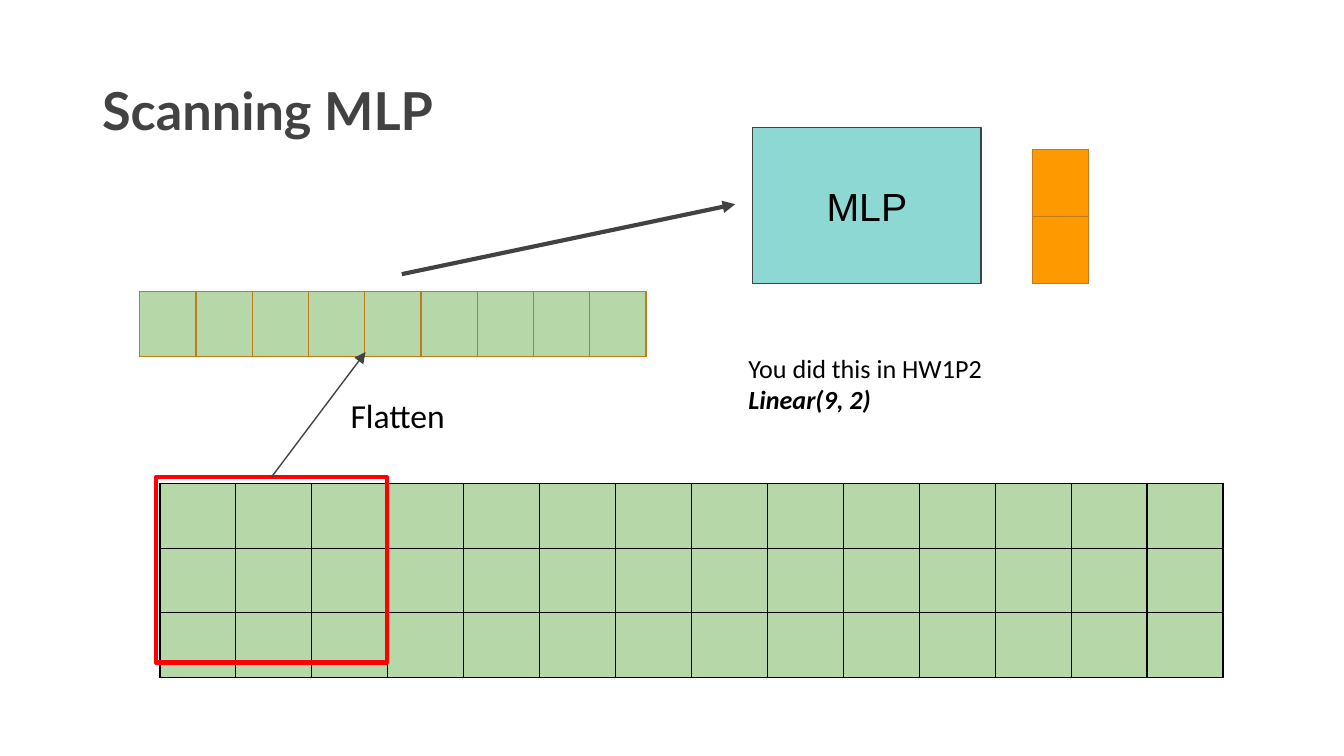
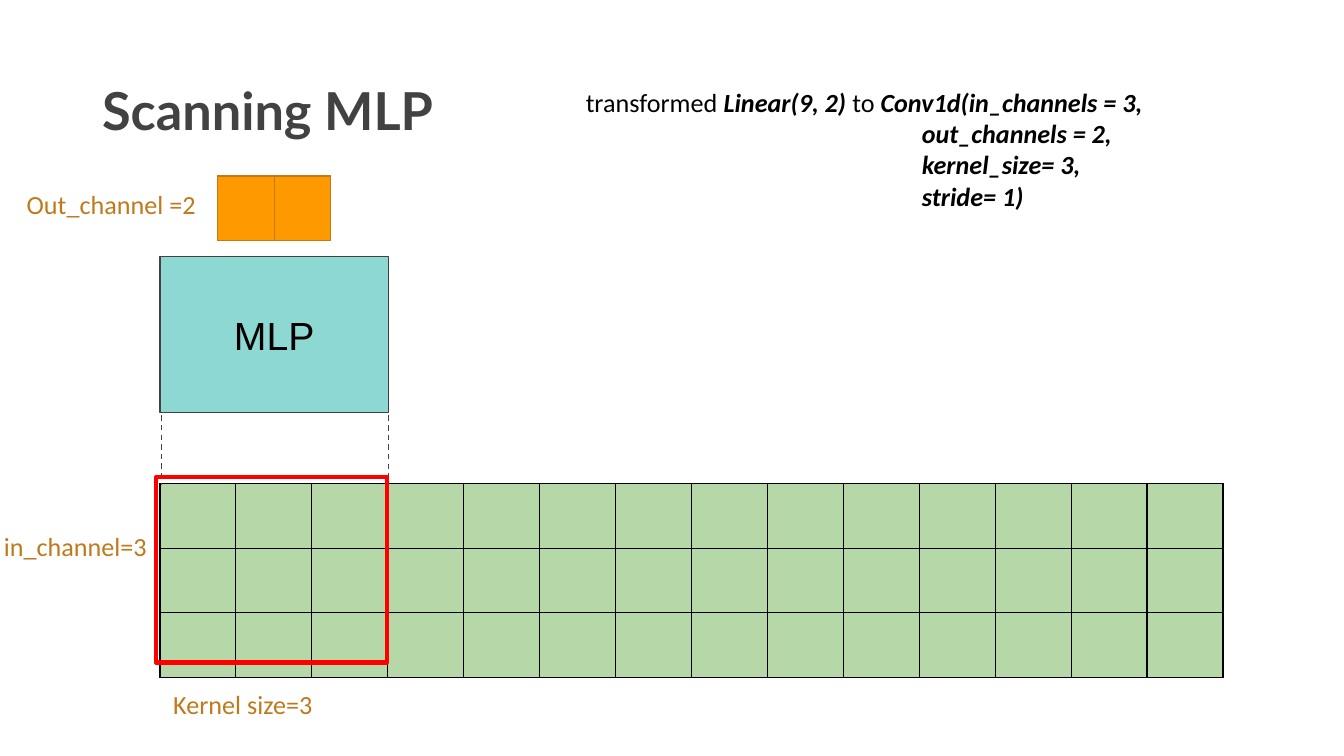
"""Build two slides that turn a scanning MLP into a 1D convolution."""
import pptx
import pptx.dml.color
import pptx.enum.dml
import pptx.enum.shapes
import pptx.enum.text
import pptx.oxml
import pptx.oxml.ns
import pptx.util

Inches = pptx.util.Inches
Pt = pptx.util.Pt

COLORS = {"ink": "424242", "black": "000000", "green": "B6D7A8", "teal": "8DD8D3",
          "orange": "FF9900", "brown": "C0791B", "red": "FF0000"}
TITLE = "Scanning MLP"
TITLE_FORMAT = {"name": "Lato", "size": Pt(28), "bold": True}
BLOCK_FORMAT = {"name": "Arial", "size": Pt(21)}
NOTE_FORMAT = {"name": "Calibri", "size": Pt(14)}
FLATTEN_FORMAT = {"name": "Calibri", "size": Pt(18)}
STRONG = {"bold": True, "italic": True}

INPUT = {"place": (1.19, 3.6, 7.91, 1.44), "rows": 3, "columns": 14,
         "fill": "green", "border": "black"}
FLAT = {"place": (1.04, 2.17, 3.77, 0.48), "rows": 1, "columns": 9,
        "fill": "green", "border": "brown"}
OUTPUT_COLUMN = {"place": (7.68, 1.11, 0.42, 1), "rows": 2, "columns": 1,
                 "fill": "orange", "border": "brown"}
OUTPUT_ROW = {"place": (1.62, 1.31, 0.84, 0.48), "rows": 1, "columns": 2,
              "fill": "orange", "border": "brown"}
WINDOW = (1.16, 3.55, 1.72, 1.38)
BLOCK_SIZE = (1.7, 1.16)

HOMEWORK = [(0, [("You did this in HW1P2", {})]), (0, [("Linear(9, 2)", STRONG)])]
CONVOLUTION = [
    (0, [("transformed ", {}), ("Linear(9, 2)", STRONG), (" to ", {}),
         ("Conv1d(in_channels = 3,", STRONG)]),
    (2.5, [("out_channels = 2, kernel_size= 3,", STRONG)]),
    (2.5, [("stride= 1)", STRONG)]),
]
LABELS = [
    ("Out_channel =2", (0.1, 1.3, 3.28, 0.44)),
    ("Kernel size=3", (1.19, 5.02, 3.28, 0.44)),
    ("in_channel=3", (-0.07, 3.85, 3.48, 0.44)),
]
DASHES = [(1.2, 3.09, 1.2, 3.61), (2.89, 3.02, 2.89, 3.55)]


def rgb(color):
    return pptx.dml.color.RGBColor.from_string(COLORS[color])


def style(font, color, values):
    for name, value in values.items():
        setattr(font, name, value)
    font.color.rgb = rgb(color)


def set_frame(frame, across, down):
    values = {"word_wrap": True, "margin_left": across, "margin_right": across,
              "margin_top": down, "margin_bottom": down}
    for name, value in values.items():
        setattr(frame, name, value)


def add_page(deck):
    page = deck.slides.add_slide(deck.slide_layouts[5])
    title = page.shapes.title
    places = zip(("left", "top", "width", "height"), (0.69, 0.3, 8.62, 1.09))
    for name, value in places:
        setattr(title, name, Inches(value))
    frame = title.text_frame
    frame.text = TITLE
    set_frame(frame, Inches(0.07), Inches(0.04))
    frame.auto_size = pptx.enum.text.MSO_AUTO_SIZE.NONE
    frame.vertical_anchor = pptx.enum.text.MSO_ANCHOR.MIDDLE
    para = frame.paragraphs[0]
    para.alignment = pptx.enum.text.PP_ALIGN.LEFT
    para.line_spacing = 0.9
    style(para.runs[0].font, "ink", TITLE_FORMAT)
    return page


def add_grid(page, grid):
    rows, columns = grid["rows"], grid["columns"]
    left, top, width, height = map(Inches, grid["place"])
    table = page.shapes.add_table(rows, columns, left, top, width, height).table
    table.first_row = False
    table.horz_banding = False
    for column in table.columns:
        column.width = width // columns
    for row in table.rows:
        row.height = height // rows
    namespace = pptx.oxml.ns.nsdecls("a")
    for cell in table.iter_cells():
        properties = cell._tc.get_or_add_tcPr()
        for side in "LRTB":
            properties.append(pptx.oxml.parse_xml(
                f'<a:ln{side} {namespace} w="{Pt(0.75)}"><a:solidFill>'
                f'<a:srgbClr val="{COLORS[grid["border"]]}"/></a:solidFill></a:ln{side}>'))
        cell.fill.solid()
        cell.fill.fore_color.rgb = rgb(grid["fill"])


def add_rectangle(page, place, line, width, fill=None):
    box = page.shapes.add_shape(pptx.enum.shapes.MSO_SHAPE.RECTANGLE, *map(Inches, place))
    box.shadow.inherit = False
    box.line.color.rgb = rgb(line)
    box.line.width = Pt(width)
    if fill:
        box.fill.solid()
        box.fill.fore_color.rgb = rgb(fill)
    else:
        box.fill.background()
    return box


def add_window(page):
    return add_rectangle(page, WINDOW, "red", 2.25)


def add_block(page, left, top):
    box = add_rectangle(page, (left, top, *BLOCK_SIZE), "ink", 0.75, "teal")
    frame = box.text_frame
    frame.text = "MLP"
    set_frame(frame, Inches(0.1), Inches(0.1))
    frame.vertical_anchor = pptx.enum.text.MSO_ANCHOR.MIDDLE
    para = frame.paragraphs[0]
    para.alignment = pptx.enum.text.PP_ALIGN.CENTER
    style(para.runs[0].font, "black", BLOCK_FORMAT)


def add_line(page, ends, width, arrow=False):
    line = page.shapes.add_connector(pptx.enum.shapes.MSO_CONNECTOR.STRAIGHT,
                                     *map(Inches, ends))
    line.line.color.rgb = rgb("ink")
    line.line.width = Pt(width)
    if arrow:
        line.line._get_or_add_ln().append(pptx.oxml.parse_xml(
            f'<a:tailEnd {pptx.oxml.ns.nsdecls("a")} type="triangle"/>'))
    else:
        line.line.dash_style = pptx.enum.dml.MSO_LINE.DASH
    line._element.spPr.append(pptx.oxml.parse_xml(
        f'<a:effectLst {pptx.oxml.ns.nsdecls("a")}/>'))
    return line


def add_text(page, place, paragraphs, color="black", values=NOTE_FORMAT):
    frame = page.shapes.add_textbox(*map(Inches, place)).text_frame
    set_frame(frame, Inches(0.1), Inches(0.1))
    for index, (indent, spans) in enumerate(paragraphs):
        para = frame.add_paragraph() if index else frame.paragraphs[0]
        if indent:
            para._p.get_or_add_pPr().set("marL", str(Inches(indent)))
        for text, emphasis in spans:
            span = para.add_run()
            span.text = text
            style(span.font, color, {**values, **emphasis})


def build_flatten(deck):
    page = add_page(deck)
    add_grid(page, INPUT)
    window = add_window(page)
    add_grid(page, FLAT)
    arrow = add_line(page, (2.02, 3.55, 2.72, 2.62), 0.75, arrow=True)
    arrow.begin_connect(window, 0)
    add_text(page, (2.51, 2.84, 1.05, 0.5), [(0, [("Flatten", {})])],
             values=FLATTEN_FORMAT)
    add_block(page, 5.6, 0.95)
    add_line(page, (2.99, 2.04, 5.47, 1.52), 2.25, arrow=True)
    add_grid(page, OUTPUT_COLUMN)
    add_text(page, (5.47, 2.52, 2.7, 0.67), HOMEWORK)


def build_convolution(deck):
    page = add_page(deck)
    add_grid(page, INPUT)
    add_block(page, 1.19, 1.91)
    for ends in DASHES:
        add_line(page, ends, 0.75)
    add_grid(page, OUTPUT_ROW)
    add_text(page, (4.26, 0.54, 5.12, 1.14), CONVOLUTION)
    add_window(page)
    for text, place in LABELS:
        add_text(page, place, [(0, [(text, {})])], "brown")


def main():
    deck = pptx.Presentation()
    deck.slide_width = Inches(10)
    deck.slide_height = deck.slide_width * 9 // 16
    build_flatten(deck)
    build_convolution(deck)
    deck.save("out.pptx")


if __name__ == "__main__":
    main()
